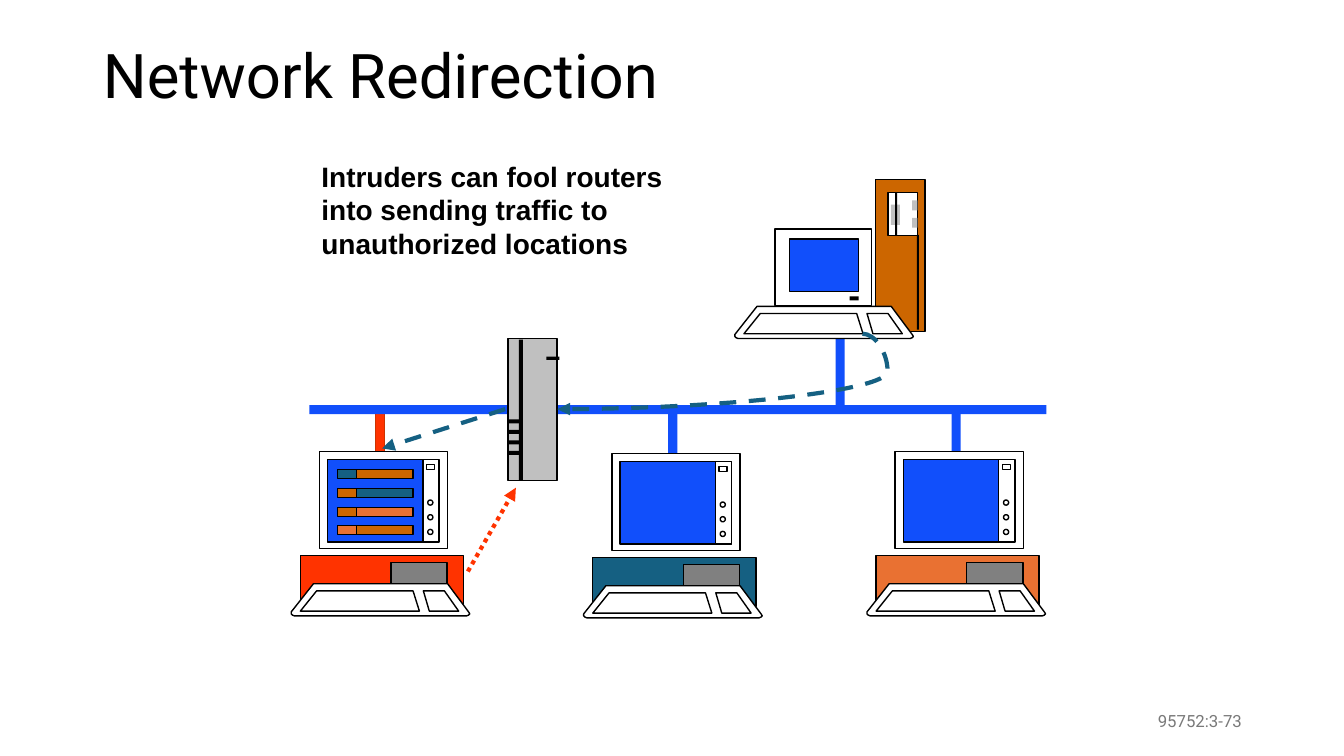
from lxml.etree import SubElement
from pptx import Presentation
from pptx.dml.color import RGBColor
from pptx.enum.dml import MSO_LINE
from pptx.enum.shapes import MSO_CONNECTOR, MSO_SHAPE
from pptx.enum.text import MSO_ANCHOR, PP_ALIGN
from pptx.oxml.ns import qn
from pptx.util import Cm, Pt

TITLE = "Network Redirection"
MESSAGE = "Intruders can fool routers into sending traffic to unauthorized locations"
PAGE_NUMBER = "95752:3-73"

COLORS = {
    "black": "000000", "white": "FFFFFF", "blue": "114FFB", "red": "FF3300",
    "dark red": "CC3300", "teal": "156082", "orange": "E97132", "brown": "CC6600",
    "silver": "C0C0C0", "gray": "808080", "footer": "797979",
}

# All lengths are in centimetres: left, top, width, height.
BUS = (7.8, 10.21, 18.57, 0.23)
SERVER_CABLE = (21.06, 8.31, 0.23, 2.03)
CABLE = (1.42, -1.17, 0.23, 2.03)

# Monitor left, monitor top, case color, cable color, cable outline
WORKSTATIONS = [
    (8.05, 11.38, "red", "red", "dark red"),
    (15.42, 11.43, "teal", "blue", None),
    (22.56, 11.38, "orange", "blue", None),
]
# Parts measured from the monitor's corner
MONITOR_PARTS = [
    ((0, 0, 3.23, 2.44), "white"),
    ((0.21, 0.2, 2.79, 2.08), "blue"),
    ((2.61, 0.2, 0.41, 2.08), "white"),
    ((2.7, 0.33, 0.2, 0.13), "white"),
]
CASE = (-0.48, 2.62, 4.11, 1.24)
DRIVE = (1.8, 2.79, 1.42, 0.58)
KEYBOARD_OFFSET = (-0.71, 3.33)
KNOB_LEFT, KNOB_TOP, KNOB_STEP, KNOB_SIZE = 2.73, 1.22, 0.37, 0.13

# Outlines measured from the keyboard's corner: body, keys, number pad
KEYBOARD = [
    [(0.56, 0), (3.94, 0), (4.47, 0.71), (4.5, 0.76), (4.47, 0.79),
     (4.42, 0.81), (0.08, 0.81), (0.03, 0.79), (0, 0.76), (0, 0.71)],
    [(0.64, 0.18), (3.07, 0.18), (3.23, 0.69), (0.23, 0.69)],
    [(3.33, 0.18), (3.86, 0.18), (4.22, 0.69), (3.48, 0.69)],
]

SERVER_PARTS = [
    ((22.07, 4.52, 1.24, 3.84), "brown", "black"),
    ((22.38, 4.85, 0.74, 1.09), "white", "black"),
    ((23.11, 5.92, 0.05, 2.39), "black", None),
    ((22.45, 5.16, 0.23, 0.51), "silver", None),
    ((22.56, 4.85, 0.05, 1.09), "black", None),
    ((22.99, 5.05, 0.13, 0.25), "silver", None),
    ((22.99, 5.49, 0.13, 0.25), "silver", None),
    ((19.53, 5.77, 2.44, 1.93), "white", "black"),
    ((19.89, 6.02, 1.75, 1.32), "blue", "black"),
    ((21.41, 7.47, 0.23, 0.1), "black", None),
]
SERVER_KEYBOARD = (18.52, 7.72)

ROUTER_PARTS = [
    ((12.8, 8.53, 1.24, 3.58), "silver", "black"),
    ((13.08, 8.56, 0.1, 3.56), "black", None),
    ((13.77, 8.99, 0.33, 0.08), "black", None),
] + [((12.81, 10.57 + 0.265 * row, 0.28, 0.1), "black", None) for row in range(4)]

# Rows on the first screen: short bar color, long bar color
SCREEN_ROWS = [("teal", "brown"), ("brown", "teal"), ("brown", "orange"), ("orange", "brown")]
ROW_LEFT, ROW_TOP, ROW_STEP, ROW_HEIGHT = 0.46, 0.46, 0.47, 0.23
SHORT_BAR, LONG_BAR = 0.48, 1.42

ARROWS = [
    (MSO_CONNECTOR.CURVE, (21.74, 8.41), (14.05, 10.31), "teal", MSO_LINE.DASH),
    (MSO_CONNECTOR.STRAIGHT, (12.73, 10.31), (9.63, 11.3), "teal", MSO_LINE.DASH),
    (MSO_CONNECTOR.STRAIGHT, (11.79, 14.4), (13, 12.29), "red", MSO_LINE.ROUND_DOT),
]
CURVE_BEND = -8200


def rgb(name):
    return RGBColor.from_string(COLORS[name])


def shift(box, left, top):
    return (box[0] + left, box[1] + top, *box[2:])


def paint(shape, fill, line, width=1):
    shape.shadow.inherit = False
    shape.fill.solid()
    shape.fill.fore_color.rgb = rgb(fill)
    if line:
        shape.line.color.rgb = rgb(line)
        shape.line.width = Pt(width)
    else:
        shape.line.fill.background()


def add_part(shapes, box, fill, line="black", width=1, kind=MSO_SHAPE.RECTANGLE):
    paint(shapes.add_shape(kind, *map(Cm, box)), fill, line, width)


def add_keyboard(shapes, left, top):
    for outline in KEYBOARD:
        points = [(Cm(left + x), Cm(top + y)) for x, y in outline]
        builder = shapes.build_freeform(*points[0], scale=1.0)
        builder.add_line_segments(points[1:], close=True)
        paint(builder.convert_to_shape(), "white", "black")


def add_workstation(shapes, left, top, case_color):
    add_part(shapes, shift(CASE, left, top), case_color)
    add_part(shapes, shift(DRIVE, left, top), "gray")
    add_keyboard(shapes, *shift(KEYBOARD_OFFSET, left, top))
    for box, fill in MONITOR_PARTS:
        add_part(shapes, shift(box, left, top), fill)
    for knob in range(3):
        box = (KNOB_LEFT, KNOB_TOP + knob * KNOB_STEP, KNOB_SIZE, KNOB_SIZE)
        add_part(shapes, shift(box, left, top), "white", kind=MSO_SHAPE.OVAL)


def add_screen_rows(shapes, left, top):
    for index, (short_color, long_color) in enumerate(SCREEN_ROWS):
        x, y = left + ROW_LEFT, top + ROW_TOP + index * ROW_STEP
        add_part(shapes, (x, y, SHORT_BAR, ROW_HEIGHT), short_color, width=0.75)
        add_part(shapes, (x + SHORT_BAR, y, LONG_BAR, ROW_HEIGHT), long_color, width=0.75)


def add_arrow(shapes, kind, start, end, color, dash):
    arrow = shapes.add_connector(kind, *map(Cm, start + end))
    arrow.line.color.rgb = rgb(color)
    arrow.line.width = Pt(3)
    arrow.line.dash_style = dash
    properties = arrow.line._get_or_add_ln()
    SubElement(properties, qn("a:tailEnd"), type="triangle")
    SubElement(arrow._element.spPr, qn("a:effectLst"))
    if kind == MSO_CONNECTOR.CURVE:
        adjustments = arrow._element.spPr.find(qn("a:prstGeom")).find(qn("a:avLst"))
        SubElement(adjustments, qn("a:gd"), name="adj1", fmla=f"val {CURVE_BEND}")


def write(shape, text, size, font, color, bold=False):
    frame = shape.text_frame
    frame.word_wrap = True
    frame.text = text
    para = frame.paragraphs[0]
    span = para.runs[0].font
    span.size, span.name, span.bold = Pt(size), font, bold
    span.color.rgb = rgb(color)
    return frame, para


def main():
    deck = Presentation()
    deck.slide_width, deck.slide_height = Cm(33.87), Cm(19.05)
    page = deck.slides.add_slide(deck.slide_layouts[5])
    shapes = page.shapes

    title = shapes.title
    title.left, title.top, title.width, title.height = map(Cm, (2.34, 1.02, 29.21, 3.68))
    frame, para = write(title, TITLE, 44, "Roboto", "black")
    frame.vertical_anchor = MSO_ANCHOR.TOP
    para.alignment = PP_ALIGN.LEFT
    para.line_spacing = 0.9

    for left, top, _, color, outline in WORKSTATIONS:
        add_part(shapes, shift(CABLE, left, top), color, outline, 0.75)
    for box in (SERVER_CABLE, BUS):
        add_part(shapes, box, "blue", None)

    server = shapes.add_group_shape().shapes
    for part in SERVER_PARTS:
        add_part(server, *part)
    add_keyboard(server, *SERVER_KEYBOARD)

    for left, top, case_color, _, _ in WORKSTATIONS:
        add_workstation(shapes.add_group_shape().shapes, left, top, case_color)

    router = shapes.add_group_shape().shapes
    for part in ROUTER_PARTS:
        add_part(router, *part)
    add_screen_rows(shapes.add_group_shape().shapes, *WORKSTATIONS[0][:2])

    for arrow in ARROWS:
        add_arrow(shapes, *arrow)

    message = shapes.add_textbox(*map(Cm, (7.85, 3.89, 10.46, 2.84)))
    write(message, MESSAGE, 20, "Arial", "black", bold=True)

    number = shapes.add_textbox(*map(Cm, (23.93, 17.65, 7.62, 1.02)))
    frame, para = write(number, PAGE_NUMBER, 12, "Roboto", "footer")
    frame.vertical_anchor = MSO_ANCHOR.MIDDLE
    para.alignment = PP_ALIGN.RIGHT

    deck.save("out.pptx")


if __name__ == "__main__":
    main()
